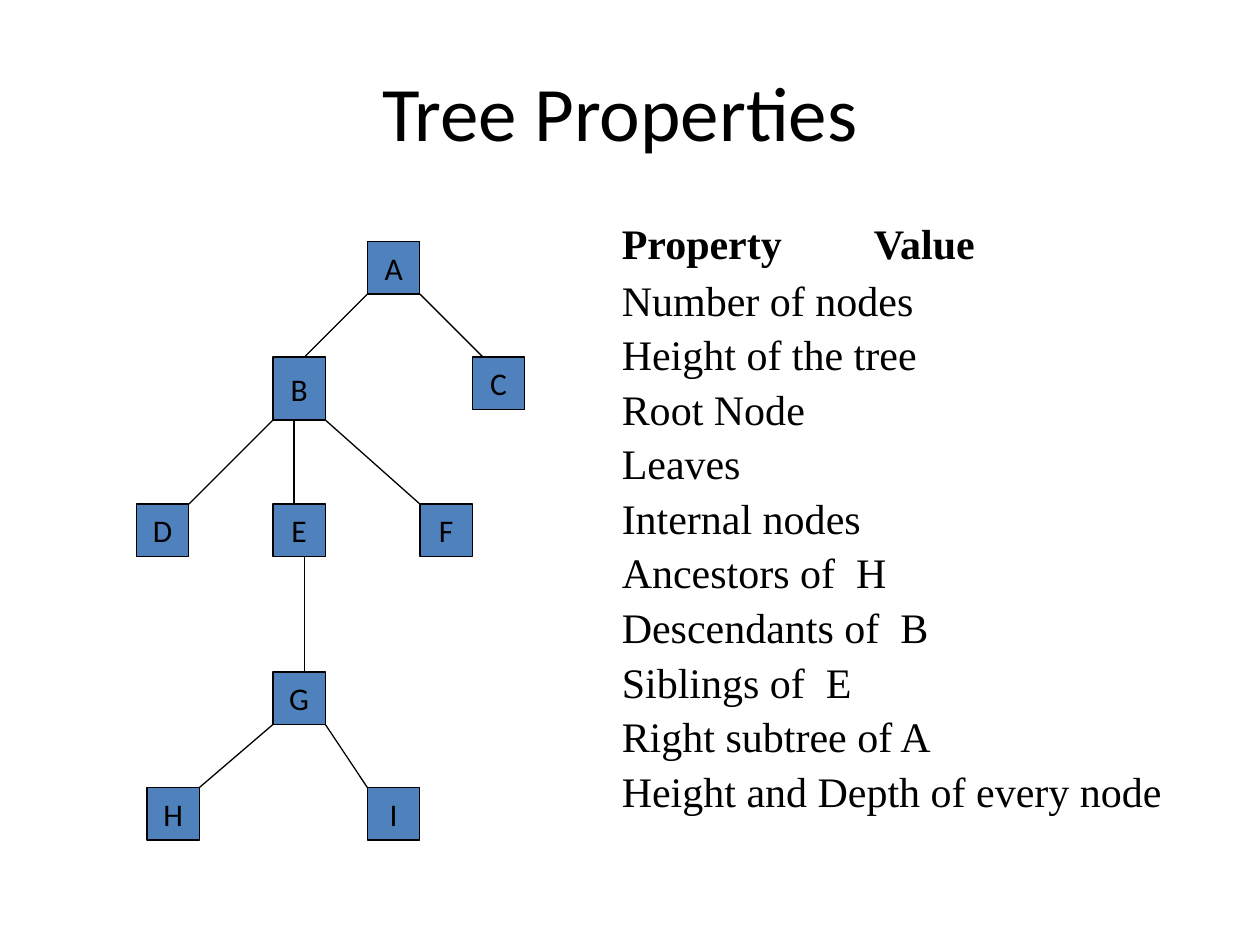
from pptx import Presentation
from pptx import util as u
from pptx.dml.color import RGBColor
from pptx.enum import shapes, text
from pptx.oxml.ns import qn
from lxml import etree

COLORS = {"ink": "000000", "node": "4F81BD"}
GRID = 2.54 / 12  # the tree sits on a grid of twelve steps to the inch
NODE_SIZE = 5

# Label: column, row, height in grid steps
NODES = {
    "A": (22, 0, 5),
    "B": (13, 11, 6), "C": (32, 11, 5),
    "D": (0, 25, 5), "E": (13, 25, 5), "F": (27, 25, 5),
    "G": (13, 41, 5),
    "H": (1, 52, 5), "I": (22, 52, 5),
}
# Parent, child, and where the edge leaves and enters along their widths
EDGES = [
    ("A", "B", 0, 3), ("A", "C", 5, 1),
    ("B", "D", 0, 5), ("B", "E", 2, 2), ("B", "F", 5, 0),
    ("E", "G", 3, 3),
    ("G", "H", 0, 5), ("G", "I", 5, 0),
]
PROPERTIES = [
    "Number of nodes", "Height of the tree", "Root Node", "Leaves",
    "Internal nodes", "Ancestors of  H", "Descendants of  B",
    "Siblings of  E", "Right subtree of A", "Height and Depth of every node",
]


def color(name):
    return RGBColor.from_string(COLORS[name])


def style_font(font, name, size, bold=False):
    font.name, font.size, font.bold = name, u.Pt(size), bold
    font.color.rgb = color("ink")


def place(shape, left, top, width, height):
    shape.left, shape.top = u.Cm(left), u.Cm(top)
    shape.width, shape.height = u.Cm(width), u.Cm(height)


def add_title(page, left, top, width, height):
    title = page.shapes.title
    place(title, left, top, width, height)
    title.text_frame.text = "Tree Properties"
    title.text_frame.vertical_anchor = text.MSO_ANCHOR.MIDDLE
    para = title.text_frame.paragraphs[0]
    para.alignment = text.PP_ALIGN.CENTER
    style_font(para.runs[0].font, "Calibri", 44)


def add_tree(page, left, top):
    group = page.shapes.add_group_shape()

    def point(column, row):
        return u.Cm(left + column * GRID), u.Cm(top + row * GRID)

    # Edges run from the foot of the parent to the head of the child
    for parent, child, leave, enter in EDGES:
        column, row, height = NODES[parent]
        child_column, child_row, _ = NODES[child]
        edge = group.shapes.add_connector(
            shapes.MSO_CONNECTOR.STRAIGHT,
            *point(column + leave, row + height),
            *point(child_column + enter, child_row))
        edge.line.color.rgb = color("ink")
        edge.line.width = u.Pt(0.75)
        etree.SubElement(edge._element.spPr, qn("a:effectLst"))

    # Nodes
    for label, (column, row, height) in NODES.items():
        node = group.shapes.add_shape(
            shapes.MSO_SHAPE.RECTANGLE, *point(column, row),
            u.Cm(NODE_SIZE * GRID), u.Cm(height * GRID))
        node.shadow.inherit = False
        node.fill.solid()
        node.fill.fore_color.rgb = color("node")
        node.line.color.rgb = color("ink")
        node.line.width = u.Pt(0.75)
        frame = node.text_frame
        frame.text = label
        frame.word_wrap = False
        frame.vertical_anchor = text.MSO_ANCHOR.MIDDLE
        frame.paragraphs[0].alignment = text.PP_ALIGN.CENTER
        style_font(frame.paragraphs[0].runs[0].font, "Calibri", 18)


def add_properties(page, left, top, width, height):
    box = page.placeholders[1]
    place(box, left, top, width, height)
    frame = box.text_frame
    frame.text = "\n".join(["Property\t\tValue"] + PROPERTIES)
    frame.word_wrap = True
    frame.auto_size = text.MSO_AUTO_SIZE.NONE
    frame.vertical_anchor = text.MSO_ANCHOR.TOP
    for index, para in enumerate(frame.paragraphs):
        heading = index == 0
        props = para._p.get_or_add_pPr()
        props.set("marL", "0")
        props.set("indent", "0")
        etree.SubElement(props, qn("a:buNone"))
        para.alignment = text.PP_ALIGN.LEFT
        para.line_spacing = 1.0 if heading else 0.6
        para.space_before = u.Pt(0 if heading else 13.9)
        for span in para.runs:
            style_font(span.font, "Times New Roman", 24, bold=heading)


def main():
    deck = Presentation()
    deck.slide_width, deck.slide_height = u.Cm(25.4), u.Cm(19.05)
    page = deck.slides.add_slide(deck.slide_layouts[1])
    add_title(page, 1.7, 1.07, 21.6, 2.34)
    add_tree(page, 2.75, 4.87)
    add_properties(page, 12.28, 4.25, 11.43, 15.44)
    deck.save("out.pptx")


if __name__ == "__main__":
    main()
